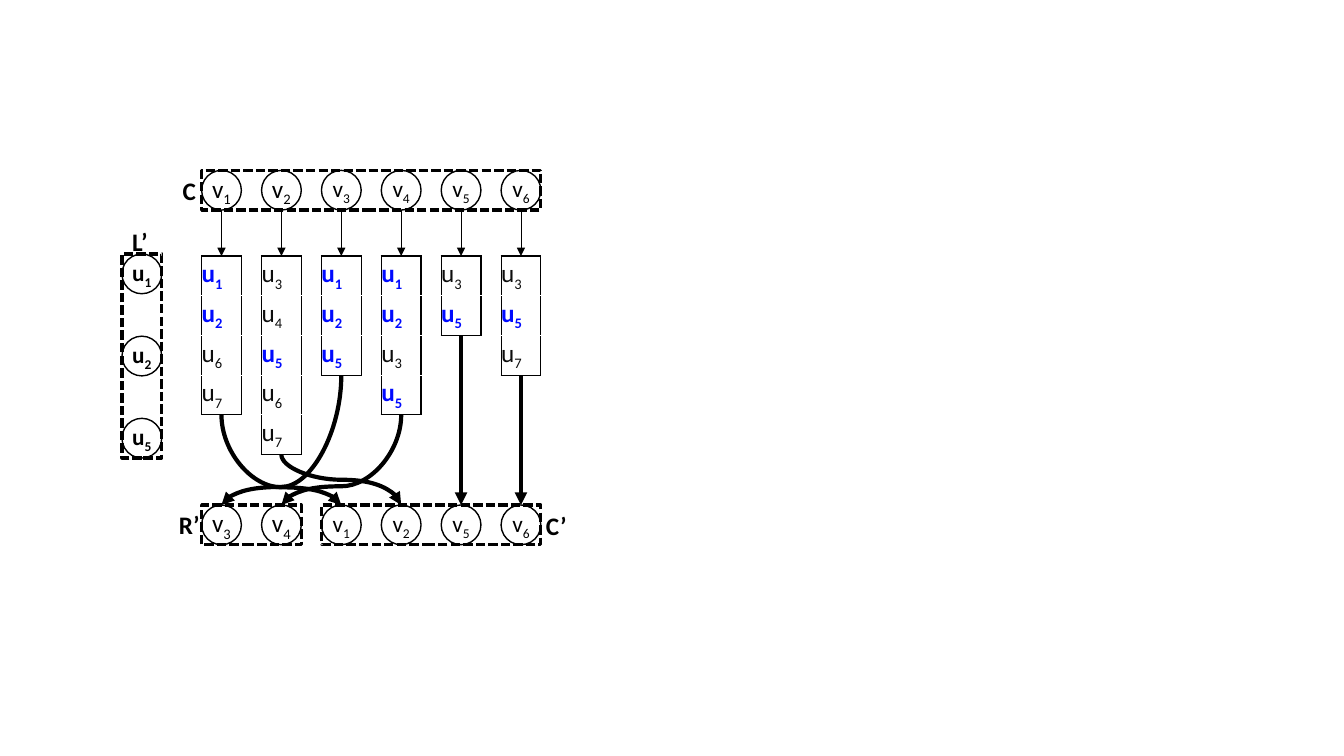
from dataclasses import dataclass

from lxml.etree import SubElement
from pptx import Presentation
from pptx.dml.color import RGBColor
from pptx.enum.dml import MSO_LINE
from pptx.enum.shapes import MSO_CONNECTOR as Connector, MSO_SHAPE as Preset
from pptx.enum.text import MSO_ANCHOR as Anchor, PP_ALIGN as Align
from pptx.oxml import parse_xml
from pptx.oxml.ns import nsdecls, qn
from pptx.util import Inches, Pt

COLORS = {"black": "000000", "ink": "0D0D0D", "blue": "000AFF", "white": "FFFFFF"}
FONT = "Calibri"

# Grid: equal columns, with list rows as high as a circle
CELL = 1.97 / 5
LEFT = 2.0
PITCH = (4.97 - LEFT) / 5
TOP_ROW, LIST_ROW, BOTTOM_ROW = 1.69, 2.54, 5.01
SIDE_LEFT, SIDE_TOP, SIDE_PITCH = 1.21, 2.52, 0.815


@dataclass(frozen=True)
class Column:
    name: str
    entries: tuple[str, ...]
    target: int  # column of the bottom row that the list leads to
    bend: float = 0.5  # share of the drop where the curve turns


@dataclass(frozen=True)
class Frame:
    left: float
    top: float
    columns: float  # width, in circles
    rows: float  # height, in circles


@dataclass(frozen=True)
class Label:
    text: str
    left: float
    top: float


COLUMNS = [
    Column("v1", ("u1", "u2", "u6", "u7"), 2, 0.804),
    Column("v2", ("u3", "u4", "u5", "u6", "u7"), 3),
    Column("v3", ("u1", "u2", "u5"), 0, 0.861),
    Column("v4", ("u1", "u2", "u3", "u5"), 1, 0.792),
    Column("v5", ("u3", "u5"), 4),
    Column("v6", ("u3", "u5", "u7"), 5),
]
BOTTOM_NAMES = ["v3", "v4", "v1", "v2", "v5", "v6"]
CHOSEN = ["u1", "u2", "u5"]


def column_left(index: int) -> float:
    return LEFT + index * PITCH


def span(count: int) -> float:
    """Width of a run of columns, in circles."""
    return (count - 1) * PITCH / CELL + 1


FRAMES = [
    Frame(LEFT, TOP_ROW, span(6), 1),
    Frame(SIDE_LEFT, SIDE_TOP, 1, 2 * SIDE_PITCH / CELL + 1),
    Frame(LEFT, BOTTOM_ROW, span(2), 1),
    Frame(column_left(2), BOTTOM_ROW, span(4), 1),
]
LABELS = [
    Label("L’", 1.19, 2.2),
    Label("C", 1.68, TOP_ROW),
    Label("R’", 1.68, BOTTOM_ROW),
    Label("C’", 5.32, 5.02),
]


def color(name: str) -> RGBColor:
    return RGBColor.from_string(COLORS[name])


def write(paragraph, text: str, size: float, ink: str, bold: bool) -> None:
    """Write a name; its digit becomes a subscript."""
    for character in (text if text[-1].isdigit() else [text]):
        run = paragraph.add_run()
        run.text = character
        if character.isdigit():
            run.font._element.set("baseline", "-25000")
    font = paragraph.font
    font.name, font.size, font.bold = FONT, Pt(size), bold
    font.color.rgb = color(ink)


def add_outline(slide, preset, left: float, top: float, width: float, height: float,
                weight: float):
    shape = slide.shapes.add_shape(preset, *map(Inches, (left, top, width, height)))
    shape.shadow.inherit = False
    shape.fill.background()
    if weight:
        shape.line.color.rgb = color("black")
        shape.line.width = Pt(weight)
    else:
        shape.line.fill.background()
    return shape


def add_circle(slide, text: str, left: float, top: float, size: float = 16.6,
               bold: bool = False, weight: float = 1):
    shape = add_outline(slide, Preset.ROUNDED_RECTANGLE, left, top, CELL, CELL, weight)
    shape.adjustments[0] = 0.5
    frame = shape.text_frame
    frame.margin_left = frame.margin_right = frame.margin_top = frame.margin_bottom = 0
    frame.vertical_anchor = Anchor.MIDDLE
    frame.word_wrap = False
    paragraph = frame.paragraphs[0]
    paragraph.alignment = Align.CENTER
    write(paragraph, text, size, "black", bold)
    return shape


def add_row(slide, names: list[str], top: float) -> list:
    return [add_circle(slide, name, column_left(index), top, 18 if index < 2 else 16.6)
            for index, name in enumerate(names)]


def set_borders(cell, top: str, bottom: str) -> None:
    sides = {"lnL": "black", "lnR": "black", "lnT": top, "lnB": bottom}
    for position, (tag, name) in enumerate(sides.items()):
        line = parse_xml(
            f'<a:{tag} {nsdecls("a")} w="12700"><a:solidFill>'
            f'<a:srgbClr val="{COLORS[name]}"/></a:solidFill></a:{tag}>')
        cell._tc.get_or_add_tcPr().insert(position, line)


def add_list(slide, entries: tuple[str, ...], left: float) -> None:
    count = len(entries)
    table = slide.shapes.add_table(
        count, 1, *map(Inches, (left, LIST_ROW, CELL, count * CELL))).table
    table.first_row = table.horz_banding = False
    for index, entry in enumerate(entries):
        table.rows[index].height = Inches(CELL)
        cell = table.cell(index, 0)
        cell.margin_left = cell.margin_right = cell.margin_top = cell.margin_bottom = 0
        cell.vertical_anchor = Anchor.MIDDLE
        cell.fill.solid()
        cell.fill.fore_color.rgb = color("white")
        set_borders(cell, "black" if index == 0 else "white",
                    "black" if index == count - 1 else "white")
        chosen = entry in CHOSEN
        write(cell.text_frame.paragraphs[0], entry, 18, "blue" if chosen else "ink", chosen)


def add_arrow(slide, kind, begin: tuple[float, float], end: tuple[float, float],
              weight: float):
    connector = slide.shapes.add_connector(kind, *map(Inches, (*begin, *end)))
    connector.line.color.rgb = color("black")
    connector.line.width = Pt(weight)
    SubElement(connector.line._get_or_add_ln(), qn("a:tailEnd"), type="triangle")
    SubElement(connector._element.spPr, qn("a:effectLst"))
    return connector


def add_curve(slide, begin: tuple[float, float], end: tuple[float, float],
              bend: float) -> None:
    """Draw the curve lying on its side, then turn it to run downwards."""
    middle_x, middle_y = (begin[0] + end[0]) / 2, (begin[1] + end[1]) / 2
    rightward = end[0] > begin[0]
    half_drop = (end[1] - begin[1]) / 2 * (-1 if rightward else 1)
    half_shift = abs(end[0] - begin[0]) / 2
    connector = add_arrow(
        slide, Connector.CURVE, (middle_x - half_drop, middle_y - half_shift),
        (middle_x + half_drop, middle_y + half_shift), 3)
    properties = connector._element.spPr
    properties.find(qn("a:xfrm")).set("rot", str((270 if rightward else 90) * 60000))
    guides = properties.find(qn("a:prstGeom")).find(qn("a:avLst"))
    SubElement(guides, qn("a:gd"), name="adj1", fmla=f"val {round(bend * 100000)}")


def main() -> None:
    presentation = Presentation()
    presentation.slide_width, presentation.slide_height = Inches(13.33), Inches(7.5)
    slide = presentation.slides.add_slide(presentation.slide_layouts[6])

    # Lists and circles
    for index, column in enumerate(COLUMNS):
        add_list(slide, column.entries, column_left(index))
    top_circles = add_row(slide, [column.name for column in COLUMNS], TOP_ROW)
    bottom_circles = add_row(slide, BOTTOM_NAMES, BOTTOM_ROW)
    for index, name in enumerate(CHOSEN):
        add_circle(slide, name, SIDE_LEFT, SIDE_TOP + index * SIDE_PITCH, bold=True)

    # Dashed frames and their labels
    for frame in FRAMES:
        shape = add_outline(slide, Preset.RECTANGLE, frame.left, frame.top,
                            frame.columns * CELL, frame.rows * CELL, 2.25)
        shape.line.dash_style = MSO_LINE.SQUARE_DOT
    for label in LABELS:
        add_circle(slide, label.text, label.left, label.top, 18, bold=True, weight=0)

    # Arrows into and out of the lists
    for index, column in enumerate(COLUMNS):
        center = column_left(index) + CELL / 2
        entry = add_arrow(slide, Connector.STRAIGHT, (center, TOP_ROW + CELL),
                          (center, LIST_ROW), 0.5)
        entry.begin_connect(top_circles[index], 2)
        begin = (center, LIST_ROW + len(column.entries) * CELL)
        end = (column_left(column.target) + CELL / 2, BOTTOM_ROW)
        if column.target == index:
            drop = add_arrow(slide, Connector.STRAIGHT, begin, end, 3)
            drop.end_connect(bottom_circles[index], 0)
        else:
            add_curve(slide, begin, end, column.bend)

    presentation.save("out.pptx")


if __name__ == "__main__":
    main()
